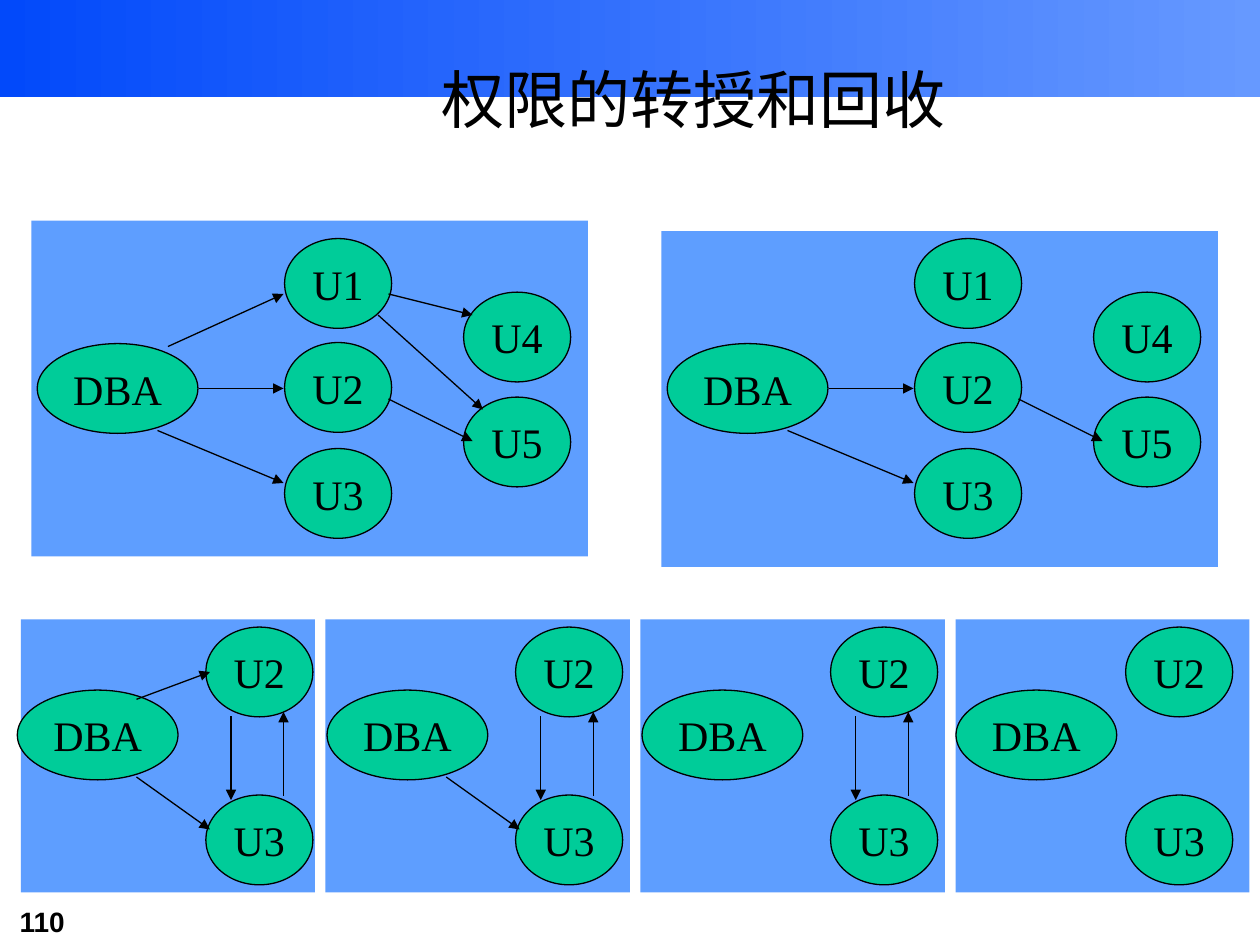
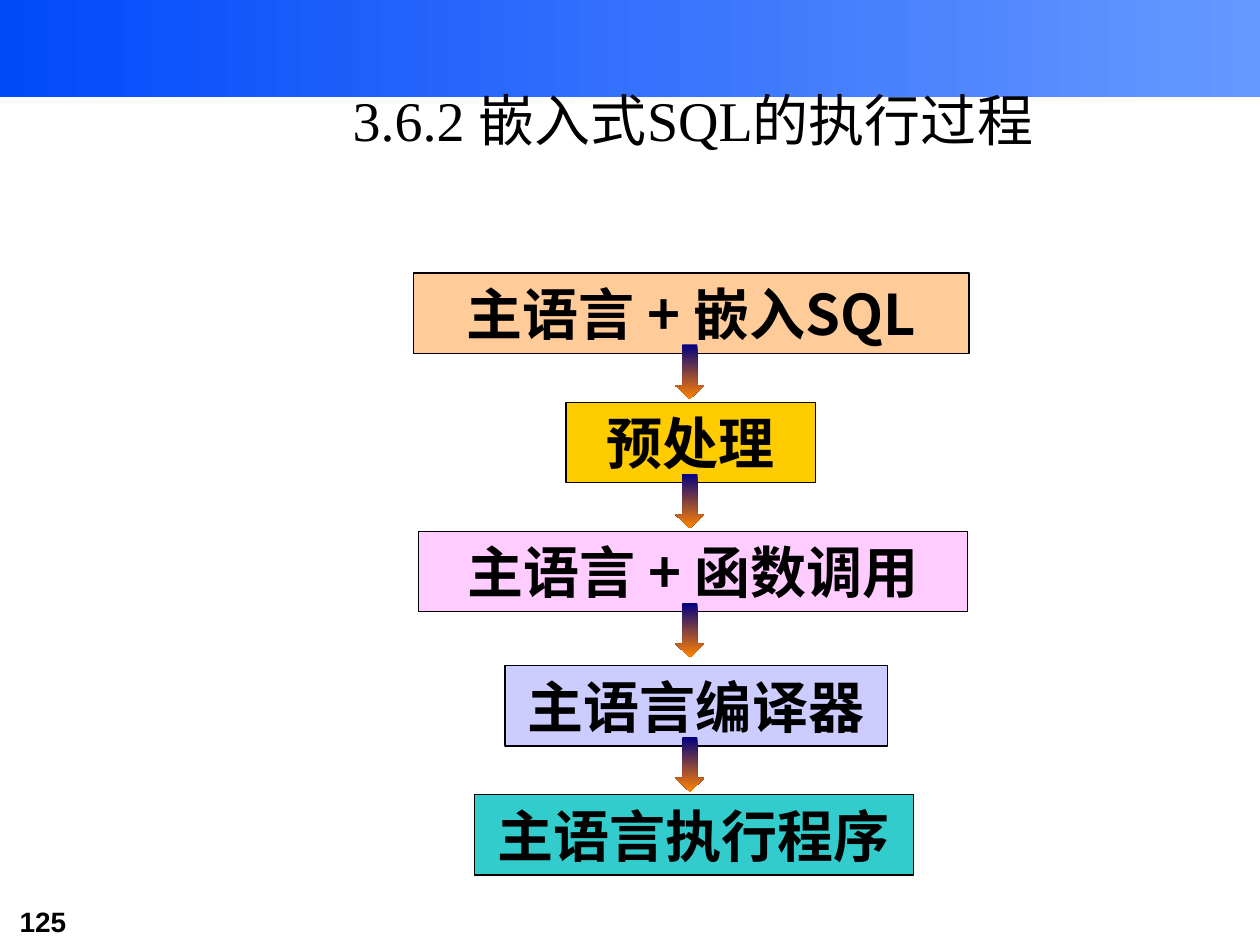
from dataclasses import dataclass

from lxml.etree import SubElement
from pptx import Presentation
from pptx.dml.color import RGBColor
from pptx.enum.shapes import MSO_CONNECTOR as Connector
from pptx.enum.shapes import MSO_SHAPE as Shape
from pptx.enum.text import MSO_ANCHOR as Anchor
from pptx.enum.text import MSO_AUTO_SIZE as AutoSize
from pptx.enum.text import PP_ALIGN as Align
from pptx.oxml.ns import qn
from pptx.util import Inches, Pt

COLUMNS, ROWS = 120, 90
WIDTH, HEIGHT = Inches(10), Inches(7.5)
SERIF, SANS, NUMBER_FONT = "Times New Roman", "Noto Sans CJK SC", "Arial"
COLORS = {
    "ink": "000000",
    "band_start": "0249FA",
    "band_end": "6699FF",
    "panel": "5E9EFF",
    "node": "00CC99",
    "arrow_start": "000082",
    "arrow_end": "FF8200",
    "peach": "FFCC99",
    "gold": "FFCC00",
    "pink": "FFCCFF",
    "lilac": "CCCCFF",
    "teal": "33CCCC",
}


@dataclass(frozen=True)
class Cell:
    """A rectangle in grid columns and rows."""
    column: float
    row: float
    columns: float
    rows: float

    def emu(self) -> tuple[int, int, int, int]:
        """Return left, top, width and height as slide lengths."""
        return (across(self.column), down(self.row),
                across(self.columns), down(self.rows))


@dataclass(frozen=True)
class Node:
    """A user or administrator, placed by its centre."""
    name: str
    column: float
    row: float
    columns: float = 10.2


@dataclass(frozen=True)
class Grant:
    """An arrow that passes a privilege on."""
    start: tuple[float, float]
    end: tuple[float, float]


@dataclass(frozen=True)
class Graph:
    """A panel with nodes and grants shifted by a number of columns."""
    panel: Cell
    shift: float
    nodes: list[Node]
    grants: list[Grant]


@dataclass(frozen=True)
class Step:
    """One stage of the execution process."""
    text: str
    color: str
    center: float
    row: float
    columns: float


def across(columns: float) -> int:
    """Convert grid columns to a length."""
    return round(WIDTH * columns / COLUMNS)


def down(rows: float) -> int:
    """Convert grid rows to a length."""
    return round(HEIGHT * rows / ROWS)


def rgb(name: str) -> RGBColor:
    """Look up a named colour."""
    return RGBColor.from_string(COLORS[name])


def write(shape, text: str, size: int, font: str, bold: bool = False,
          align=Align.CENTER) -> None:
    """Put one formatted paragraph into a shape."""
    frame = shape.text_frame
    frame.text = text
    frame.vertical_anchor = Anchor.MIDDLE
    frame.auto_size = AutoSize.NONE
    para = frame.paragraphs[0]
    para.alignment = align
    for span in para.runs:
        span.font.size, span.font.bold = Pt(size), bold
        span.font.color.rgb = rgb("ink")
        span.font.name = font
        SubElement(span.font._element, qn("a:ea"), typeface=SANS)


def add_solid(shapes, kind, cell: Cell, color: str, outlined: bool = False):
    """Draw a preset shape with a plain fill."""
    shape = shapes.add_shape(kind, *cell.emu())
    shape.shadow.inherit = False
    shape.fill.solid()
    shape.fill.fore_color.rgb = rgb(color)
    if outlined:
        shape.line.color.rgb = rgb("ink")
        shape.line.width = Pt(0.75)
    else:
        shape.line.fill.background()
    return shape


def add_gradient(shapes, kind, cell: Cell, start: str, end: str, angle: int):
    """Draw a preset shape with a two-colour gradient."""
    shape = add_solid(shapes, kind, cell, start)
    shape.fill.gradient()
    shape.fill.gradient_angle = angle
    for stop, color in zip(shape.fill.gradient_stops, (start, end)):
        stop.color.rgb = rgb(color)
    return shape


def add_node(shapes, node: Node, shift: float) -> None:
    """Draw a labelled ellipse."""
    rows = 8.55
    cell = Cell(node.column + shift - node.columns / 2, node.row - rows / 2,
                node.columns, rows)
    ellipse = add_solid(shapes, Shape.OVAL, cell, "node", outlined=True)
    write(ellipse, node.name, 24, SERIF)
    ellipse.text_frame.word_wrap = False


def add_grant(shapes, grant: Grant, shift: float) -> None:
    """Draw an arrow between two grid points."""
    (x1, y1), (x2, y2) = grant.start, grant.end
    arrow = shapes.add_connector(Connector.STRAIGHT, across(x1 + shift), down(y1),
                                 across(x2 + shift), down(y2))
    arrow.line.color.rgb = rgb("ink")
    arrow.line.width = Pt(0.75)
    SubElement(arrow.line._get_or_add_ln(), qn("a:tailEnd"), type="triangle")
    SubElement(arrow._element.spPr, qn("a:effectLst"))


def add_page(deck, title: str, size: int, cell: Cell, number: int):
    """Add a page with its title and number."""
    page = deck.slides.add_slide(deck.slide_layouts.get_by_name("Title Only"))
    heading = page.shapes.title
    heading.left, heading.top, heading.width, heading.height = cell.emu()
    write(heading, title + "\v", size, SERIF)
    para = heading.text_frame.paragraphs[0]._p
    SubElement(para.find(qn("a:br")), qn("a:rPr"), sz=str(size * 100))
    SubElement(para, qn("a:endParaRPr"), sz=str(size * 100))
    box = page.shapes.add_textbox(*Cell(0.7, 85.6, 14.6, 4.4).emu())
    write(box, str(number), 16, NUMBER_FONT, bold=True, align=Align.LEFT)
    box.text_frame.word_wrap = True
    box.text_frame.vertical_anchor = Anchor.TOP
    return page


def add_band(deck, page) -> None:
    """Move a gradient band onto the shared layout."""
    band = add_gradient(page.shapes, Shape.RECTANGLE, Cell(0, 0, COLUMNS, 9.25),
                        "band_start", "band_end", 0)
    page.slide_layout.shapes.element.append(band._element)


def privilege_graphs() -> list[Graph]:
    """Describe the graphs before and after each revocation."""
    users = [Node("DBA", 11.2, 37, 15.3), Node("U1", 32.2, 27),
             Node("U2", 32.2, 36.9), Node("U3", 32.2, 47),
             Node("U4", 49.25, 32.1), Node("U5", 49.25, 42.1)]
    kept = [Grant((19, 37), (27, 37)), Grant((15, 41), (27, 46)),
            Grant((37, 38), (45, 42))]
    revoked = [Grant((16, 33), (27, 28)), Grant((37, 28), (45, 30)),
               Grant((36, 30), (46, 39))]
    graphs = [Graph(Cell(3, 21, 53, 32), 0, users, kept + revoked),
              Graph(Cell(63, 22, 53, 32), 60, users, kept)]

    cycle = [Grant((22, 68.2), (22, 76.2)), Grant((27, 75.8), (27, 67.8))]
    to_u3, to_u2 = Grant((13, 74), (20, 79)), Grant((13, 66.6), (20, 64))
    stages = [(2, 28, 0, 24.7, [to_u3, to_u2, *cycle]),
              (31, 29, 29.5, 24.7, [to_u3, *cycle]),
              (61, 29, 59.5, 24.7, cycle),
              (91, 28, 89.4, 22.9, [])]
    for column, columns, shift, user_column, grants in stages:
        nodes = [Node("DBA", 9.3, 70, 15.3), Node("U2", user_column, 64),
                 Node("U3", user_column, 80)]
        graphs.append(Graph(Cell(column, 59, columns, 26), shift, nodes, grants))
    return graphs


def add_privileges(deck):
    """Build the page on passing on and revoking privileges."""
    page = add_page(deck, "权限的转授和回收", 36, Cell(15, 9, 102, 8), 110)
    for graph in privilege_graphs():
        add_solid(page.shapes, Shape.RECTANGLE, graph.panel, "panel")
        group = page.shapes.add_group_shape()
        for node in graph.nodes:
            add_node(group.shapes, node, graph.shift)
        for grant in graph.grants:
            add_grant(group.shapes, grant, graph.shift)
    return page


def add_execution(deck) -> None:
    """Build the page on executing embedded SQL."""
    page = add_page(deck, "3.6.2 嵌入式SQL的执行过程", 32, Cell(15, 10, 102, 9), 125)
    steps = [Step("主语言 + 嵌入SQL", "peach", 65.85, 26, 52.9),
             Step("预处理", "gold", 65.8, 38.3, 23.8),
             Step("主语言 + 函数调用", "pink", 66, 50.6, 52.3),
             Step("主语言编译器", "lilac", 66.3, 63.4, 36.4),
             Step("主语言执行程序", "teal", 66.1, 75.7, 41.8)]
    for step in steps:
        cell = Cell(step.center - step.columns / 2, step.row, step.columns, 7.65)
        box = add_solid(page.shapes, Shape.RECTANGLE, cell, step.color, outlined=True)
        write(box, step.text, 32, SANS, bold=True)
        box.text_frame.word_wrap = False
    for step in steps[:-1]:
        arrow = add_gradient(page.shapes, Shape.DOWN_ARROW,
                             Cell(64.3, step.row + 6.8, 2.8, 5.2),
                             "arrow_start", "arrow_end", 270)
        arrow.adjustments[1] = 0.47


def main() -> None:
    """Build and save the deck."""
    deck = Presentation()
    deck.slide_width, deck.slide_height = WIDTH, HEIGHT
    add_band(deck, add_privileges(deck))
    add_execution(deck)
    deck.save("out.pptx")


if __name__ == "__main__":
    main()
